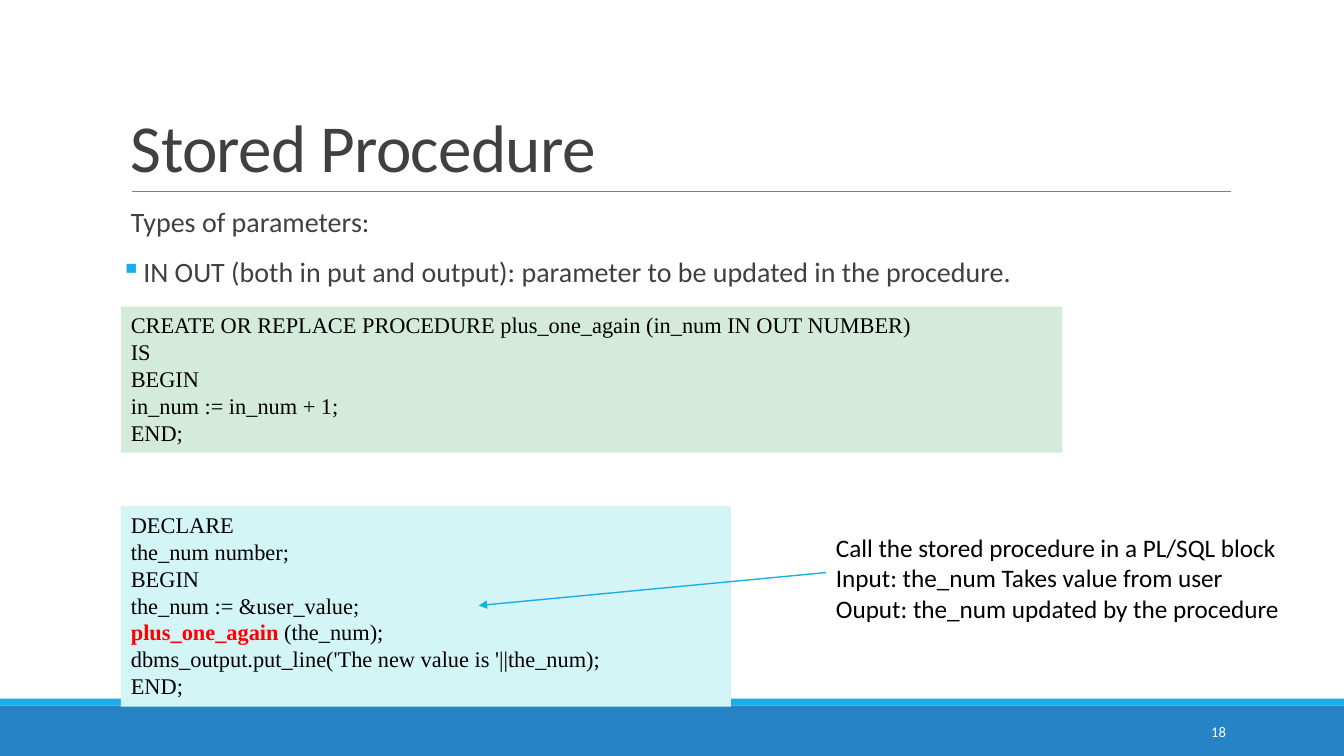
from lxml import etree
from pptx import Presentation
from pptx.dml.color import RGBColor
from pptx.enum import shapes, text
from pptx.oxml.ns import qn
from pptx.util import Pt

COLORS = {
    "footer": "2683C6", "accent": "1CADE4", "rule": "808080", "heading": "404040",
    "green": "D4EBDB", "cyan": "D3F5F6", "black": "000000", "red": "FF0000",
    "white": "FFFFFF",
}
BODY_FONT, CODE_FONT = "Calibri", "Times New Roman"
LEFT = 86.4

TITLE = "Stored Procedure"
INTRO = "Types of parameters:"
BULLET = "IN OUT (both in put and output): parameter to be updated in the procedure."
PROCEDURE_CODE = [
    "CREATE OR REPLACE PROCEDURE plus_one_again (in_num IN OUT NUMBER)",
    "IS",
    "BEGIN",
    "in_num := in_num + 1;",
    "END;",
]
CALL_CODE = [
    "DECLARE",
    "the_num number;",
    "BEGIN",
    "the_num := &user_value;",
    "plus_one_again (the_num);",
    "dbms_output.put_line('The new value is '||the_num);",
    "END;",
]
CALL_LINE, CALLED_NAME = 4, "plus_one_again"
CALL_NOTES = [
    "Call the stored procedure in a PL/SQL block",
    "Input: the_num Takes value from user",
    "Ouput: the_num updated by the procedure",
]
PAGE_NUMBER = "18"

# left, top, width, height
BANDS = [("footer", (0, 504, 960, 36)), ("accent", (0, 499, 960, 5))]
CODE_BLOCKS = [
    ("green", (LEFT, 219, 672.5, 104.4), PROCEDURE_CODE),
    ("cyan", (LEFT, 361.5, 435.6, 143.3), CALL_CODE),
]


def rgb(name):
    return RGBColor.from_string(COLORS[name])


def add_rectangle(slide, box, fill):
    shape = slide.shapes.add_shape(shapes.MSO_SHAPE.RECTANGLE, *map(Pt, box))
    shape.shadow.inherit = False
    shape.fill.solid()
    shape.fill.fore_color.rgb = rgb(fill)
    shape.line.fill.background()
    return shape


def write(shape, lines, size, color="black", font=BODY_FONT,
          align=text.PP_ALIGN.LEFT, anchor=text.MSO_ANCHOR.TOP):
    frame = shape.text_frame
    frame.word_wrap = True
    frame.vertical_anchor = anchor
    frame.text = "\n".join(lines)
    for paragraph in frame.paragraphs:
        paragraph.alignment = align
        for run in paragraph.runs:
            run.font.size = Pt(size)
            run.font.name = font
            run.font.color.rgb = rgb(color)
    return frame


def add_text(slide, box, lines, size, **style):
    return write(slide.shapes.add_textbox(*map(Pt, box)), lines, size, **style)


def add_line(slide, start, end, color, width):
    line = slide.shapes.add_connector(
        shapes.MSO_CONNECTOR.STRAIGHT, *map(Pt, start + end))
    line.line.color.rgb = rgb(color)
    line.line.width = Pt(width)
    etree.SubElement(line._element.spPr, qn("a:effectLst"))
    return line


def set_bullet(paragraph, character, color, indent):
    properties = paragraph._p.get_or_add_pPr()
    properties.set("marL", str(Pt(indent)))
    properties.set("indent", str(-Pt(indent)))
    bullet_color = etree.SubElement(properties, qn("a:buClr"))
    etree.SubElement(bullet_color, qn("a:srgbClr"), val=COLORS[color])
    etree.SubElement(properties, qn("a:buChar"), char=character)


def add_body(slide):
    frame = add_text(slide, (LEFT, 145.4, 792, 70), [INTRO, BULLET], 20, color="heading")
    frame.margin_left = frame.margin_right = 0
    intro, bullet = frame.paragraphs
    for paragraph in (intro, bullet):
        paragraph.line_spacing = 0.9
        paragraph.space_after = Pt(2)
    bullet.space_before = Pt(12)
    intro._p.get_or_add_pPr().set("marL", str(Pt(7.2)))
    set_bullet(bullet, "▪", "accent", 16)


def emphasize_call(paragraph):
    """Split the called procedure's name into its own bold red run."""
    name = paragraph.runs[0]
    rest = paragraph.add_run()
    rest.text = name.text[len(CALLED_NAME):]
    rest.font.size, rest.font.name = name.font.size, name.font.name
    rest.font.color.rgb = rgb("black")
    name.text = CALLED_NAME
    name.font.bold = True
    name.font.color.rgb = rgb("red")


def main():
    presentation = Presentation()
    presentation.slide_width, presentation.slide_height = Pt(960), Pt(540)
    slide = presentation.slides.add_slide(presentation.slide_layouts[6])

    for color, box in BANDS:
        add_rectangle(slide, box, color)
    add_line(slide, (94, 136.6), (879, 136.6), "rule", 0.5)

    title = add_text(slide, (LEFT, 22.5, 792, 114.2), [TITLE], 48, color="heading",
                     anchor=text.MSO_ANCHOR.BOTTOM)
    title.paragraphs[0].line_spacing = 0.85
    title.paragraphs[0].runs[0].font._element.set("spc", "-50")
    add_body(slide)
    add_text(slide, (779.8, 508.5, 103, 28.8), [PAGE_NUMBER], 10.5, color="white",
             align=text.PP_ALIGN.RIGHT, anchor=text.MSO_ANCHOR.MIDDLE)

    for color, box, code in CODE_BLOCKS:
        frame = write(add_rectangle(slide, box, color), code, 16, font=CODE_FONT)
    emphasize_call(frame.paragraphs[CALL_LINE])

    arrow = add_line(slide, (590, 409), (342, 432.5), "accent", 1)
    etree.SubElement(arrow.line._get_or_add_ln(), qn("a:tailEnd"), type="triangle")
    add_text(slide, (590, 376.8, 352, 72.7), CALL_NOTES, 18)

    presentation.save("out.pptx")


if __name__ == "__main__":
    main()
